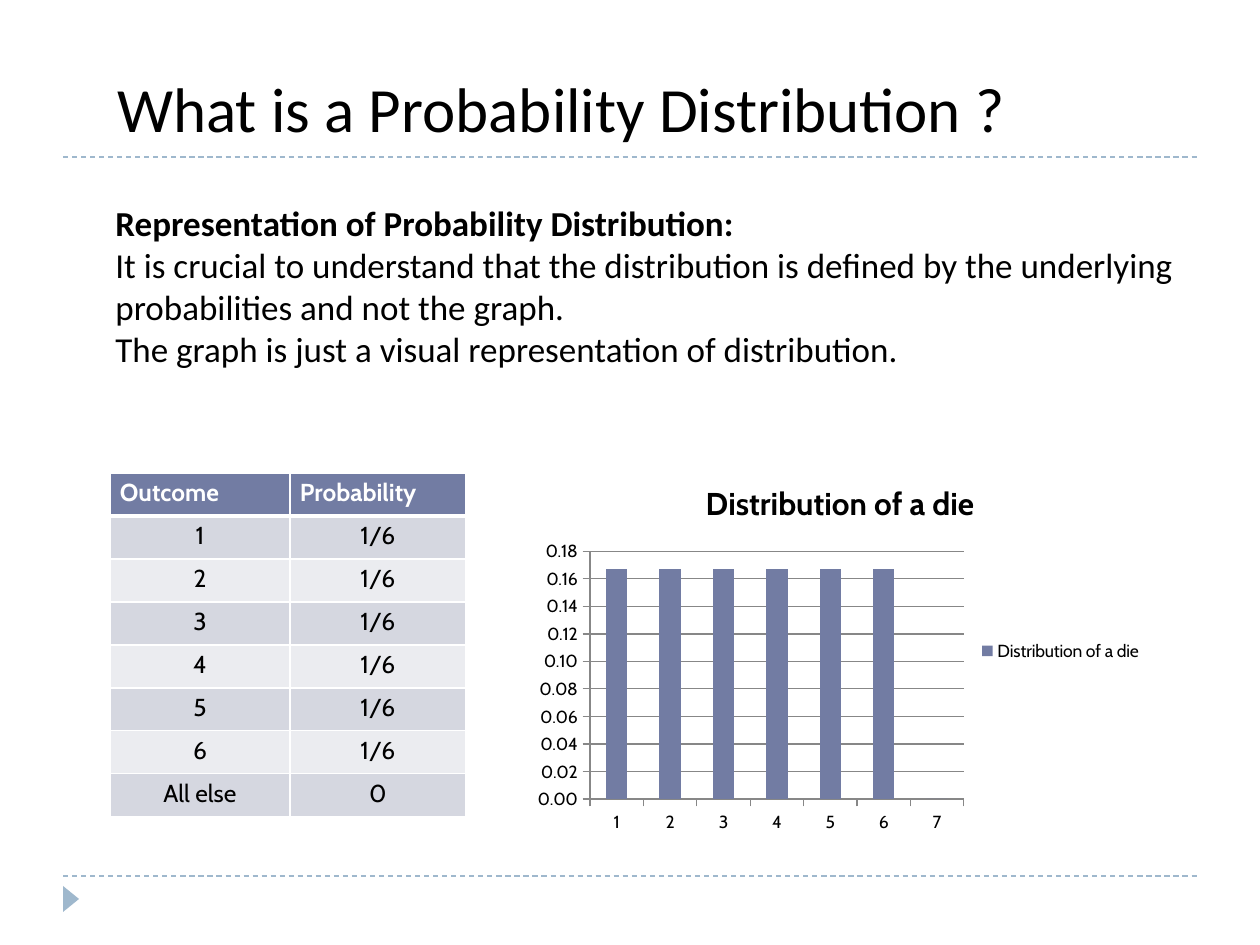
import pptx
import pptx.util
import pptx.dml.color
import pptx.enum.dml
import pptx.enum.shapes
import pptx.enum.text
import pptx.enum.chart
import pptx.chart.data
import pptx.oxml
import pptx.oxml.ns
from lxml import etree

SCALE = 914400 / 126
BLACK, WHITE, BLUE, PALE = "000000", "FFFFFF", "727CA3", "9FB8CD"
GRAY = "878787"
BANDS = ["D5D7E0", "EBECF0"]
BODY = [
    ("Representation of Probability Distribution:", True),
    ("It is crucial to understand that the distribution is defined by the "
     "underlying probabilities and not the graph.", False),
    ("The graph is just a visual representation of distribution.", False),
]
ROWS = ([("Outcome", "Probability")]
        + [(str(n), "1/6") for n in range(1, 7)]
        + [("All else", "0")])


def px(n):
    return pptx.util.Emu(round(n * SCALE))


def color(code):
    return pptx.dml.color.RGBColor.from_string(code)


def style(font, size, name, code=BLACK, bold=False):
    font.size = pptx.util.Pt(size)
    font.name = name
    font.color.rgb = color(code)
    font.bold = bold


def add_text(slide, box, paras, size, wrap=True):
    frame = slide.shapes.add_textbox(*map(px, box)).text_frame
    frame.word_wrap = wrap
    for i, (text, bold) in enumerate(paras):
        para = frame.add_paragraph() if i else frame.paragraphs[0]
        run = para.add_run()
        run.text = text
        style(run.font, size, "Calibri", bold=bold)


def add_rule(slide, y):
    rule = slide.shapes.add_connector(
        pptx.enum.shapes.MSO_CONNECTOR.STRAIGHT, px(63), px(y), px(1197), px(y))
    rule.line.color.rgb = color(PALE)
    rule.line.width = pptx.util.Pt(0.75)
    rule.line.dash_style = pptx.enum.dml.MSO_LINE.DASH
    etree.SubElement(rule._element.spPr, pptx.oxml.ns.qn("a:effectLst"))


def add_mark(slide):
    mark = slide.shapes.add_shape(
        pptx.enum.shapes.MSO_SHAPE.ISOSCELES_TRIANGLE,
        px(58), px(891), px(26), px(16))
    mark.rotation = 90
    mark.shadow.inherit = False
    mark.fill.solid()
    mark.fill.fore_color.rgb = color(PALE)
    mark.line.fill.background()


def add_edges(cell, top, bottom):
    props = cell._tc.get_or_add_tcPr()
    for side, width in (("L", 1), ("R", 1), ("T", top), ("B", bottom)):
        props.append(pptx.oxml.parse_xml(
            f'<a:ln{side} {pptx.oxml.ns.nsdecls("a")} w="{width * 12700}">'
            f'<a:solidFill><a:srgbClr val="{WHITE}"/></a:solidFill>'
            f'</a:ln{side}>'))


def fill_cell(cell, text, row):
    head = row == 0
    add_edges(cell, 3 if row == 1 else 1, 3 if head else 1)
    cell.fill.solid()
    cell.fill.fore_color.rgb = color(BLUE if head else BANDS[(row - 1) % 2])
    cell.margin_left = cell.margin_right = px(10)
    cell.margin_top = cell.margin_bottom = px(5)
    para = cell.text_frame.paragraphs[0]
    if not head:
        para.alignment = pptx.enum.text.PP_ALIGN.CENTER
    run = para.add_run()
    run.text = text
    style(run.font, 14, "Cabin", WHITE if head else BLACK, head)


def add_table(slide):
    table = slide.shapes.add_table(
        len(ROWS), 2, px(110), px(473), px(356), px(346)).table
    for col, width in zip(table.columns, (180, 176)):
        col.width = px(width)
    for r, texts in enumerate(ROWS):
        table.rows[r].height = px(43)
        for c, text in enumerate(texts):
            fill_cell(table.cell(r, c), text, r)


def add_chart(slide):
    name = "Distribution of a die"
    data = pptx.chart.data.CategoryChartData()
    data.categories = [str(n) for n in range(1, 8)]
    data.add_series(name, [0.167] * 6 + [0])
    chart = slide.shapes.add_chart(
        pptx.enum.chart.XL_CHART_TYPE.COLUMN_CLUSTERED,
        px(525), px(462), px(630), px(378), data).chart
    style(chart.font, 10, "Cabin")

    # Title and legend
    chart.has_title = True
    run = chart.chart_title.text_frame.paragraphs[0].add_run()
    run.text = name
    style(run.font, 18, "Cabin", bold=True)
    chart.has_legend = True
    chart.legend.position = pptx.enum.chart.XL_LEGEND_POSITION.RIGHT
    chart.legend.include_in_layout = False

    # Columns
    plot = chart.plots[0]
    plot.gap_width = 150
    plot.vary_by_categories = False
    fill = plot.series[0].format.fill
    fill.solid()
    fill.fore_color.rgb = color(BLUE)

    # Axes
    scale = chart.value_axis
    scale.minimum_scale, scale.maximum_scale = 0, 0.18
    scale.major_unit = 0.02
    scale.tick_labels.number_format = "0.00"
    scale.tick_labels.number_format_is_linked = False
    scale.has_major_gridlines = True
    for axis in (scale, chart.category_axis):
        axis.major_tick_mark = pptx.enum.chart.XL_TICK_MARK.OUTSIDE
    for part in (scale, chart.category_axis, scale.major_gridlines):
        part.format.line.color.rgb = color(GRAY)
        part.format.line.width = pptx.util.Pt(0.75)


def main():
    deck = pptx.Presentation()
    deck.slide_width, deck.slide_height = px(1260), px(945)
    slide = deck.slides.add_slide(deck.slide_layouts[6])

    # Frame of the page
    for y in (876, 157):
        add_rule(slide, y)
    add_mark(slide)

    # Title and body
    add_text(slide, (105, 63, 921, 89),
             [("What is a Probability Distribution ?", False)], 36, wrap=False)
    add_text(slide, (103, 195, 1105, 183), BODY, 20)

    # Data
    add_table(slide)
    add_chart(slide)
    deck.save("out.pptx")


if __name__ == "__main__":
    main()
